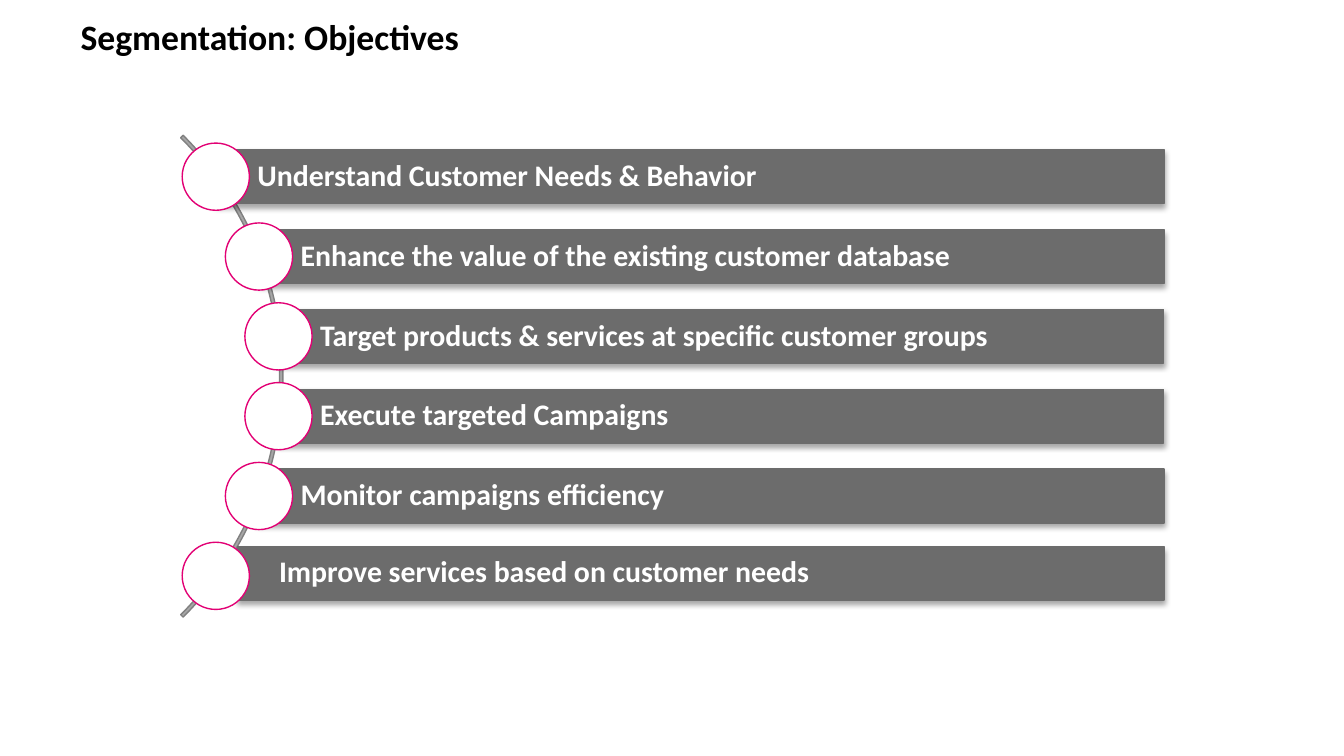
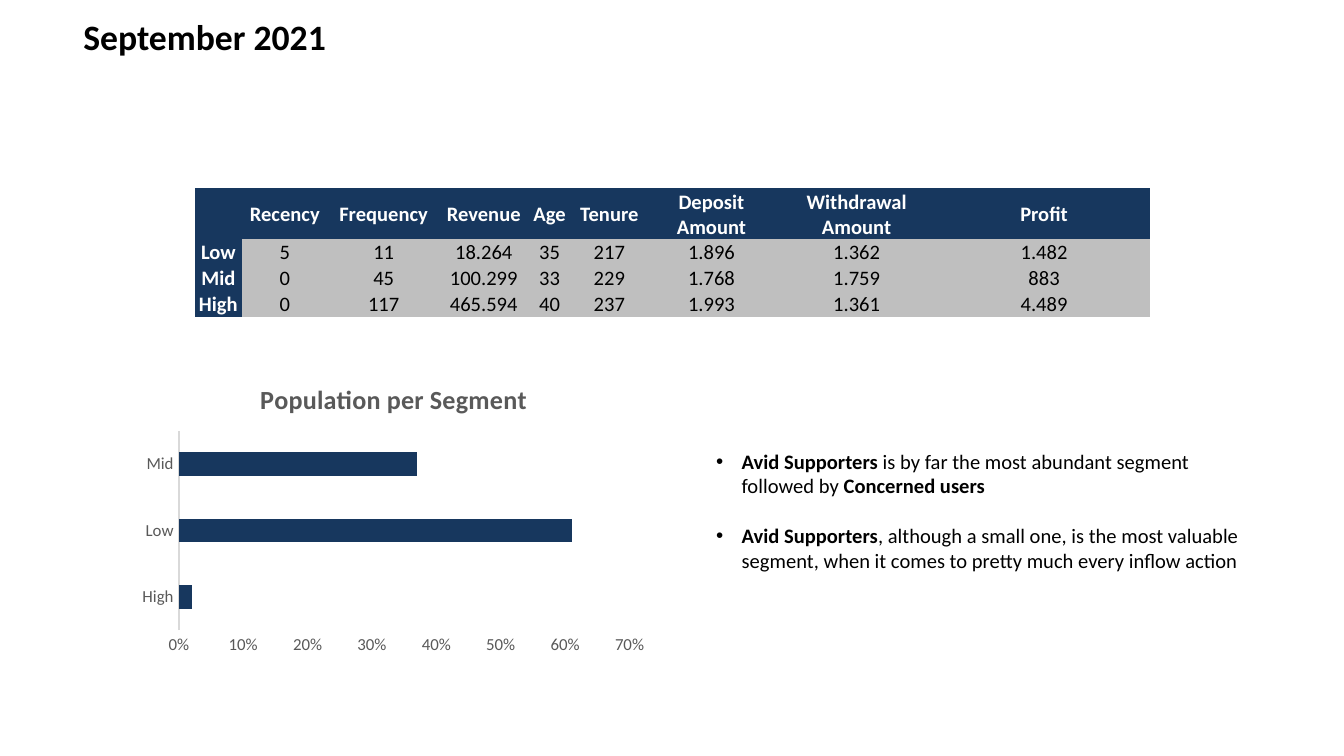
import math

import pptx
import pptx.chart.data
import pptx.dml.color
import pptx.enum.chart
import pptx.enum.shapes
import pptx.enum.text
import pptx.oxml
import pptx.oxml.ns
import pptx.util
from dataclasses import dataclass

Inches = pptx.util.Inches
Pt = pptx.util.Pt
SHAPE = pptx.enum.shapes.MSO_SHAPE
MIDDLE = pptx.enum.text.MSO_ANCHOR.MIDDLE
CENTER = pptx.enum.text.PP_ALIGN.CENTER
qn = pptx.oxml.ns.qn

# ---- Content ----
OBJECTIVES_TITLE = "Segmentation: Objectives"
OBJECTIVES = [
    "Understand Customer Needs & Behavior",
    "Enhance the value of the existing customer database",
    "Target products & services at specific customer groups",
    "Execute targeted Campaigns",
    "Monitor campaigns efficiency",
    "Improve services based on customer needs",
]

SEGMENTS_TITLE = "September 2021"
SEGMENT_TABLE = [
    ["", "Recency", "Frequency", "Revenue", "Age", "Tenure",
     "Deposit Amount", "Withdrawal Amount", "Profit"],
    ["Low", "5", "11", "18.264", "35", "217", "1.896", "1.362", "1.482"],
    ["Mid", "0", "45", "100.299", "33", "229", "1.768", "1.759", "883"],
    ["High", "0", "117", "465.594", "40", "237", "1.993", "1.361", "4.489"],
]
COLUMN_WIDTHS = [0.35, 0.64, 0.83, 0.66, 0.32, 0.57, 0.95, 1.21, 1.58]
ROW_HEIGHTS = [0.31, 0.17, 0.17, 0.17]

CHART_TITLE = "Population per Segment"
POPULATION = {"High": 0.02, "Low": 0.61, "Mid": 0.37}

# Each finding is a list of (text, bold) runs.
FINDINGS = [
    [("Avid Supporters", True),
     (" is by far the most abundant segment followed by ", False),
     ("Concerned users", True)],
    [("Avid Supporters", True),
     (", although a small one, is the most valuable segment, "
      "when it comes to pretty much every inflow action", False)],
]


@dataclass(frozen=True)
class Theme:
    """Colours, font and type sizes of the deck."""
    font: str = "Calibri"
    black: str = "000000"
    white: str = "FFFFFF"
    navy: str = "17375E"
    bar: str = "6C6C6C"
    arc: str = "A6A6A6"
    arc_line: str = "808080"
    accent: str = "E20074"
    cell: str = "BFBFBF"
    chart_text: str = "595959"
    axis: str = "D9D9D9"
    title: float = 19.1
    objective: float = 16
    body: float = 11
    chart_title: float = 14
    chart_label: float = 9
    line: float = 0.75


THEME = Theme()


# ---- Helpers ----
def rgb(color):
    """Return an RGB colour from its hex string."""
    return pptx.dml.color.RGBColor.from_string(color)


def style_font(font, size, color, bold=False):
    """Apply the deck font with a size, colour and weight."""
    font.name = THEME.font
    font.size = Pt(size)
    font.bold = bold
    font.color.rgb = rgb(color)


def set_margins(box, left, top, right, bottom):
    """Set the inner margins, in inches, of a text frame or cell."""
    box.margin_left, box.margin_top = Inches(left), Inches(top)
    box.margin_right, box.margin_bottom = Inches(right), Inches(bottom)


def add_shape(s, kind, left, top, width, height, fill, line):
    """Add a filled, outlined preset shape without a shadow."""
    sp = s.shapes.add_shape(kind, Inches(left), Inches(top),
                            Inches(width), Inches(height))
    sp.shadow.inherit = False
    sp.fill.solid()
    sp.fill.fore_color.rgb = rgb(fill)
    sp.line.color.rgb = rgb(line)
    sp.line.width = Pt(THEME.line)
    return sp


def add_drop_shadow(sp):
    """Give a shape a soft shadow straight below it."""
    effects = sp._element.spPr.find(qn("a:effectLst"))
    effects.append(pptx.oxml.parse_xml(
        f'<a:outerShdw {pptx.oxml.ns.nsdecls("a")} blurRad="{Pt(3.1)}" '
        f'dist="{Pt(1.8)}" dir="5400000" rotWithShape="0">'
        f'<a:srgbClr val="{THEME.black}"><a:alpha val="35000"/></a:srgbClr>'
        '</a:outerShdw>'))


def add_text_box(s, left, top, width, height):
    """Add a wrapping text box and return its text frame."""
    tf = s.shapes.add_textbox(Inches(left), Inches(top),
                              Inches(width), Inches(height)).text_frame
    tf.word_wrap = True
    return tf


def add_titled_slide(prs, title, left):
    """Add a blank slide with the deck's title style."""
    s = prs.slides.add_slide(prs.slide_layouts[6])
    tf = add_text_box(s, left, 0.11, 9, 0.62)
    set_margins(tf, 0, 0, 0, 0)
    tf.text = title
    style_font(tf.paragraphs[0].runs[0].font, THEME.title, THEME.black, True)
    return s


# ---- Objectives ----
def add_objective(s, text, x, y, dx=0, dy=0):
    """Add one bar and its circle centred at x, y; dx, dy shift the bar."""
    bar_height, circle, right = 0.4, 0.5, 8.66
    left = x + dx
    sp = add_shape(s, SHAPE.RECTANGLE, left, y - bar_height / 2 + dy,
                   right - left, bar_height, THEME.bar, THEME.bar)
    add_drop_shadow(sp)
    tf = sp.text_frame
    tf.word_wrap = True
    tf.vertical_anchor = MIDDLE
    set_margins(tf, 0.31, 0.04, 0.04, 0.04)
    tf.text = text
    p = tf.paragraphs[0]
    p.alignment = pptx.enum.text.PP_ALIGN.LEFT
    p.line_spacing = 0.9
    style_font(p.runs[0].font, THEME.objective, THEME.white, True)
    add_shape(s, SHAPE.OVAL, x - circle / 2, y - circle / 2, circle, circle,
              THEME.white, THEME.accent)


def build_objectives(prs):
    """Build the curved list: circles sit along an arc, bars run right."""
    s = add_titled_slide(prs, OBJECTIVES_TITLE, 0.6)
    center_x, center_y, diameter, radius, pitch = -0.43, 2.8, 5.07, 2.52, 0.594
    arc = add_shape(s, SHAPE.BLOCK_ARC, center_x - diameter / 2,
                    center_y - diameter / 2, diameter, diameter,
                    THEME.arc, THEME.arc_line)
    for i, value in enumerate((189, 27, 0.005)):
        arc.adjustments[i] = value
    last = len(OBJECTIVES) - 1
    for i, text in enumerate(OBJECTIVES):
        offset = (i - last / 2) * pitch
        x = center_x + math.sqrt(radius ** 2 - offset ** 2)
        shift = (0.16, -0.02) if i == last else (0, 0)
        add_objective(s, text, x, center_y + offset, *shift)


# ---- Segments ----
def add_segment_table(s):
    """Add the segment table with navy headings and grey values."""
    table = s.shapes.add_table(
        len(SEGMENT_TABLE), len(COLUMN_WIDTHS), Inches(1.45), Inches(1.4),
        Inches(sum(COLUMN_WIDTHS)), Inches(sum(ROW_HEIGHTS))).table
    style_id = table._tbl.tblPr.find(qn("a:tableStyleId"))
    style_id.text = "{2D5ABB26-0587-4C30-8999-92F81FD0307C}"  # no style, no grid
    table.horz_banding = False
    for column, width in zip(table.columns, COLUMN_WIDTHS):
        column.width = Inches(width)
    for row, height in zip(table.rows, ROW_HEIGHTS):
        row.height = Inches(height)
    for i, values in enumerate(SEGMENT_TABLE):
        for j, value in enumerate(values):
            heading = i == 0 or j == 0
            cell = table.cell(i, j)
            cell.fill.solid()
            cell.fill.fore_color.rgb = rgb(THEME.navy if heading else THEME.cell)
            cell.vertical_anchor = MIDDLE
            set_margins(cell, 0.01, 0.01, 0.01, 0)
            cell.text = value
            p = cell.text_frame.paragraphs[0]
            p.alignment = CENTER
            for r in p.runs:
                style_font(r.font, THEME.body,
                           THEME.white if heading else THEME.black, heading)


def add_findings(s):
    """Add the bulleted findings beside the chart."""
    tf = add_text_box(s, 5.23, 3.29, 4.11, 1.03)
    indent = Inches(0.19)
    for i, runs in enumerate(FINDINGS):
        p = tf.paragraphs[0] if i == 0 else tf.add_paragraph()
        if i:
            p.space_before = Pt(13.4)
        pPr = p._p.get_or_add_pPr()
        pPr.set("marL", str(indent))
        pPr.set("indent", str(-indent))
        ns = pptx.oxml.ns.nsdecls("a")
        pPr.append(pptx.oxml.parse_xml(f'<a:buFont {ns} typeface="Arial"/>'))
        pPr.append(pptx.oxml.parse_xml(f'<a:buChar {ns} char="•"/>'))
        for text, bold in runs:
            r = p.add_run()
            r.text = text
            style_font(r.font, THEME.body, THEME.black, bold)


def place_plot(chart, x, y, w, h):
    """Fix the inner plot area as fractions of the chart."""
    area = chart._chartSpace.chart.plotArea
    for layout in area.findall(qn("c:layout")):
        area.remove(layout)
    sizes = "".join(f'<c:{tag} val="{value}"/>'
                    for tag, value in zip("xywh", (x, y, w, h)))
    area.insert(0, pptx.oxml.parse_xml(
        f'<c:layout {pptx.oxml.ns.nsdecls("c")}><c:manualLayout>'
        '<c:layoutTarget val="inner"/><c:xMode val="edge"/>'
        f'<c:yMode val="edge"/>{sizes}</c:manualLayout></c:layout>'))


def add_population_chart(s):
    """Add the bar chart of population shares."""
    data = pptx.chart.data.CategoryChartData(number_format="0%")
    data.categories = list(POPULATION)
    data.add_series("Series 1", list(POPULATION.values()))
    chart = s.shapes.add_chart(
        pptx.enum.chart.XL_CHART_TYPE.BAR_CLUSTERED, Inches(0.98), Inches(2.7),
        Inches(3.9), Inches(2.21), data).chart
    style_font(chart.font, 10, THEME.black)
    chart.has_legend = False
    chart.has_title = True
    tf = chart.chart_title.text_frame
    tf.text = CHART_TITLE
    style_font(tf.paragraphs[0].runs[0].font, THEME.chart_title,
               THEME.chart_text, True)
    chart.chart_title.include_in_layout = False

    plot = chart.plots[0]
    plot.gap_width = 182
    plot.vary_by_categories = False
    fill = plot.series[0].format.fill
    fill.solid()
    fill.fore_color.rgb = rgb(THEME.navy)

    for axis in (chart.category_axis, chart.value_axis):
        axis.has_major_gridlines = False
        axis.major_tick_mark = pptx.enum.chart.XL_TICK_MARK.NONE
        axis.minor_tick_mark = pptx.enum.chart.XL_TICK_MARK.NONE
        style_font(axis.tick_labels.font, THEME.chart_label, THEME.chart_text)
    line = chart.category_axis.format.line
    line.color.rgb = rgb(THEME.axis)
    line.width = Pt(THEME.line)
    values = chart.value_axis
    values.format.line.fill.background()
    values.minimum_scale, values.maximum_scale, values.major_unit = 0, 0.7, 0.1
    values.tick_labels.number_format = "0%"
    values.tick_labels.number_format_is_linked = False
    place_plot(chart, 0.09, 0.23, 0.86, 0.67)


def build_segments(prs):
    """Build the segment slide: table, findings and chart."""
    s = add_titled_slide(prs, SEGMENTS_TITLE, 0.62)
    add_segment_table(s)
    add_findings(s)
    add_population_chart(s)


prs = pptx.Presentation()
prs.slide_width = Inches(10)
prs.slide_height = prs.slide_width * 9 // 16
build_objectives(prs)
build_segments(prs)
prs.save("out.pptx")
